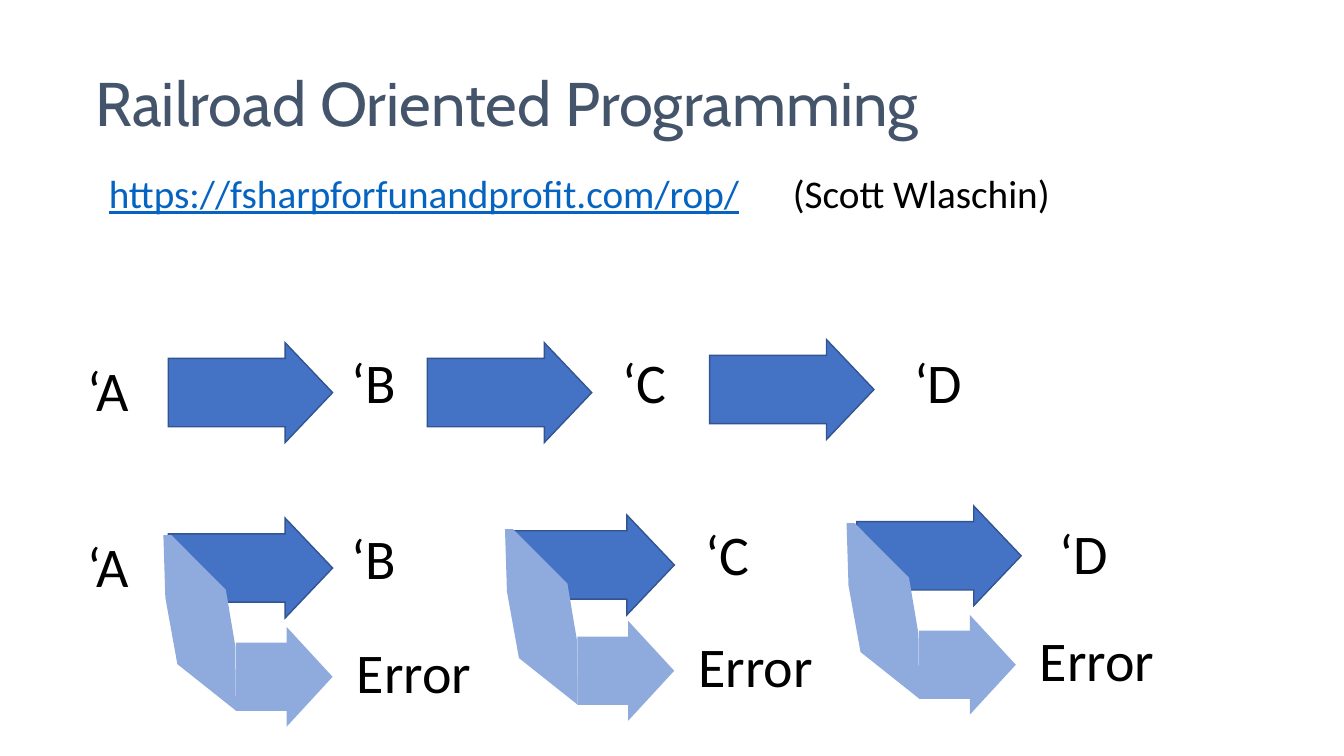
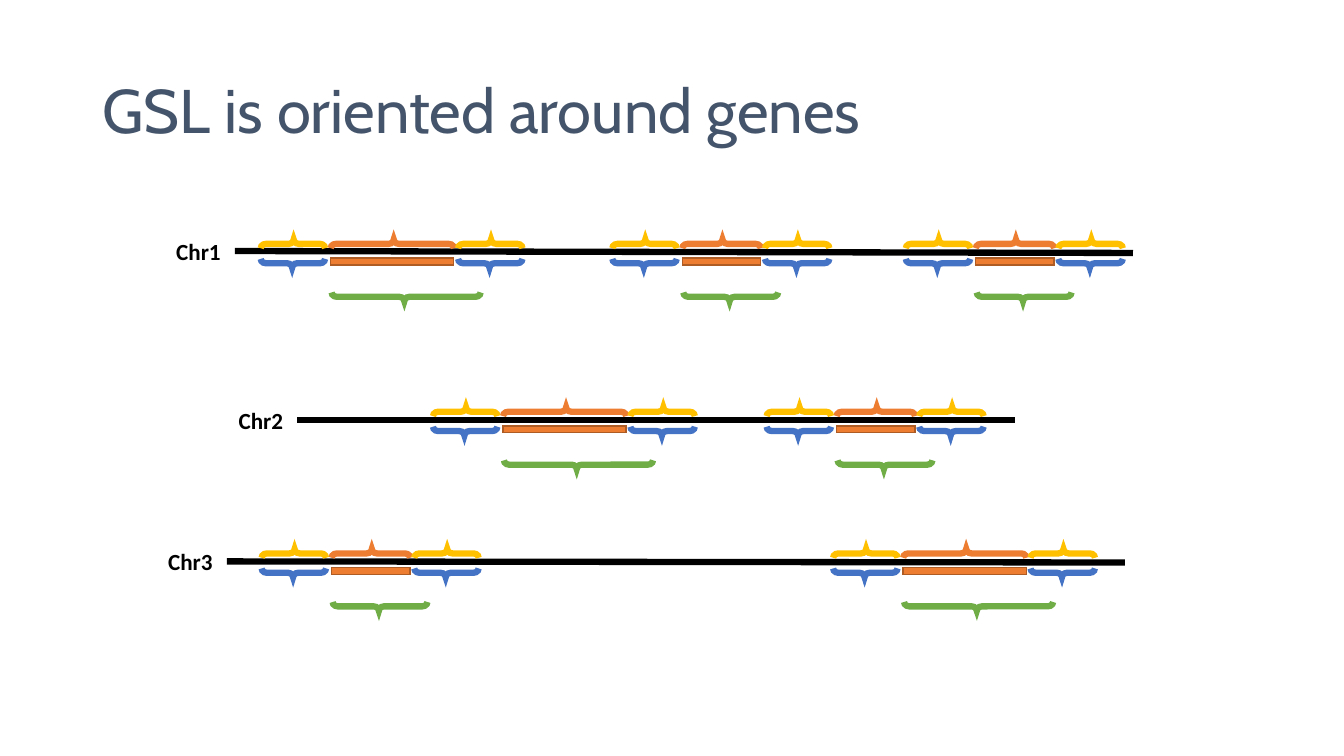
from lxml import etree
from pptx import Presentation
from pptx.dml.color import RGBColor
from pptx.enum import shapes, text
from pptx.oxml import ns
from pptx.util import Pt

SLATE, BLACK, LINK = "44546A", "000000", "0563C1"
BLUE, BLUE_EDGE, PALE_BLUE = "4472C4", "325491", "8FAADC"
ORANGE, ORANGE_EDGE, YELLOW, GREEN = "ED7D31", "AF5C24", "FFC000", "70AD47"
THICK = 4.5
ARROW_W, ARROW_H, ERROR_ARROW_W = 117.4, 71.3, 69.1
FLANK, BRACE_DEPTH = 46, 6.2
# Outline of the branch, relative to the top left of its error arrow
BRANCH = [(-46, -65.5), (-7.2, -26.6), (-0.4, 13.7), (0, 59.8),
          (-41.8, 26.6), (-50.4, -20.9), (-51.8, -65.5)]


def rgb(value):
    return RGBColor.from_string(value)


def style(sp, fill=None, line=None, width=1):
    sp.shadow.inherit = False
    if fill:
        sp.fill.solid()
        sp.fill.fore_color.rgb = rgb(fill)
    else:
        sp.fill.background()
    if line:
        sp.line.color.rgb = rgb(line)
        sp.line.width = Pt(width)
        etree.SubElement(sp.line._get_or_add_ln(), ns.qn("a:miter"), lim="800000")
    else:
        sp.line.fill.background()


def add_run(p, content, size=40, color=BLACK, font="Calibri", bold=False, underline=False):
    r = p.add_run()
    r.text = content
    r.font.size = Pt(size)
    r.font.name = font
    r.font.bold = bold
    r.font.underline = underline
    r.font.color.rgb = rgb(color)


def text_box(s, x, y, w, h=55.4, anchor=text.MSO_ANCHOR.TOP):
    """Add an empty wrapping text box and return its paragraph."""
    tf = s.shapes.add_textbox(Pt(x), Pt(y), Pt(w), Pt(h)).text_frame
    tf.word_wrap = True
    tf.vertical_anchor = anchor
    return tf.paragraphs[0]


def title(s, content, x, y):
    p = text_box(s, x, y, 828, 104.4, text.MSO_ANCHOR.MIDDLE)
    p.line_spacing = 0.9
    add_run(p, content, size=44, color=SLATE, font="Cabin")


def label(s, content, x, y):
    add_run(text_box(s, x, y, 110), content)


def arrow(s, x, y, w, fill, line=None):
    sp = s.shapes.add_shape(shapes.MSO_SHAPE.RIGHT_ARROW, Pt(x), Pt(y), Pt(w), Pt(ARROW_H))
    sp.adjustments[0], sp.adjustments[1] = 0.685, 0.475
    style(sp, fill, line)


def error_track(s, x, y):
    """Add the arrow to an error and the branch that leads into it."""
    arrow(s, x, y, ERROR_ARROW_W, PALE_BLUE)
    points = [(Pt(x + dx), Pt(y + dy)) for dx, dy in BRANCH]
    builder = s.shapes.build_freeform(*points[0])
    builder.add_line_segments(points[1:], close=True)
    style(builder.convert_to_shape(), PALE_BLUE)
    label(s, "Error", x + 79.2, y + 3.8)


def brace(group, cx, cy, length, color, rotation):
    """Add a horizontal brace centred on a point; 90 points up, 270 down."""
    sp = group.shapes.add_shape(
        shapes.MSO_SHAPE.LEFT_BRACE, Pt(cx - BRACE_DEPTH / 2), Pt(cy - length / 2),
        Pt(BRACE_DEPTH), Pt(length))
    sp.rotation = rotation
    sp.adjustments[0], sp.adjustments[1] = 0.6, 0.488
    style(sp, line=color, width=THICK)


def gene(s, x, y, w):
    """Add a gene bar with braces for the gene, its flanks and its extension."""
    group = s.shapes.add_group_shape()
    brace(group, x + w / 2, y - 10.1, w, ORANGE, 90)
    bar = group.shapes.add_shape(shapes.MSO_SHAPE.RECTANGLE, Pt(x), Pt(y), Pt(w), Pt(5))
    style(bar, ORANGE, ORANGE_EDGE)
    for cx in (x - 27, x + w + 26):
        brace(group, cx, y - 10.1, FLANK, YELLOW, 90)
        brace(group, cx, y + 3.7, FLANK, BLUE, 270)
    extent = w * 1.21
    brace(group, x + 0.7 + extent / 2, y + 27.7, extent, GREEN, 270)


def chromosome(s, name, start, end, genes_y, genes):
    (x1, y1), (x2, y2) = start, end
    c = s.shapes.add_connector(shapes.MSO_CONNECTOR.STRAIGHT, Pt(x1), Pt(y1), Pt(x2), Pt(y2))
    c.line.color.rgb = rgb(BLACK)
    c.line.width = Pt(THICK)
    etree.SubElement(c._element.spPr, ns.qn("a:effectLst"))
    for x, w in genes:
        gene(s, x, genes_y, w)
    add_run(text_box(s, x1 - 49, y1 - 13.5, 60, 27.4), name, size=16.5, bold=True)


def railroad_slide(s):
    title(s, "Railroad Oriented Programming", 61.2, 23.8)
    p = text_box(s, 70.6, 117.4, 841.7, 41)
    tabs = etree.SubElement(p._p.get_or_add_pPr(), ns.qn("a:tabLst"))
    etree.SubElement(tabs, ns.qn("a:tab"), pos=str(Pt(488.6)), algn="l")
    add_run(p, "https://fsharpforfunandprofit.com/rop/", size=28, color=LINK, underline=True)
    add_run(p, "\t(Scott Wlaschin)", size=28)

    for x, y in [(120.2, 244.8), (305.3, 244.8), (506.9, 242.6),
                 (120.2, 370.1), (364.3, 367.9), (612, 361.4)]:
        arrow(s, x, y, ARROW_W, BLUE, BLUE_EDGE)
    for content, x, y in [
            ("‘A", 55.4, 250.6), ("‘B", 244.1, 244.8), ("‘C", 437.8, 244.8), ("‘D", 645.8, 244.8),
            ("‘A", 55.4, 375.8), ("‘B", 244.1, 370.1), ("‘C", 496.8, 367.9), ("‘D", 749.5, 366.5)]:
        label(s, content, x, y)
    for i in range(3):
        error_track(s, 168.5 + 244 * i, 447.8 - 4.3 * i)


def genes_slide(s):
    title(s, "GSL is oriented around genes", 66.2, 28.8)
    long, short = 88, 56
    chromosome(s, "Chr1", (167.8, 179.3), (809.3, 180.7), 184.3,
               [(236.2, long), (487.4, short), (697, short)])
    chromosome(s, "Chr2", (212.4, 300.2), (725, 300.2), 304.2,
               [(359.3, long), (597.6, short)])
    chromosome(s, "Chr3", (162, 401), (803.5, 401.8), 405.4,
               [(236.9, short), (645.1, long)])


def main():
    prs = Presentation()
    prs.slide_width, prs.slide_height = Pt(960), Pt(540)
    for build in (railroad_slide, genes_slide):
        build(prs.slides.add_slide(prs.slide_layouts[6]))
    prs.save("out.pptx")


if __name__ == "__main__":
    main()
